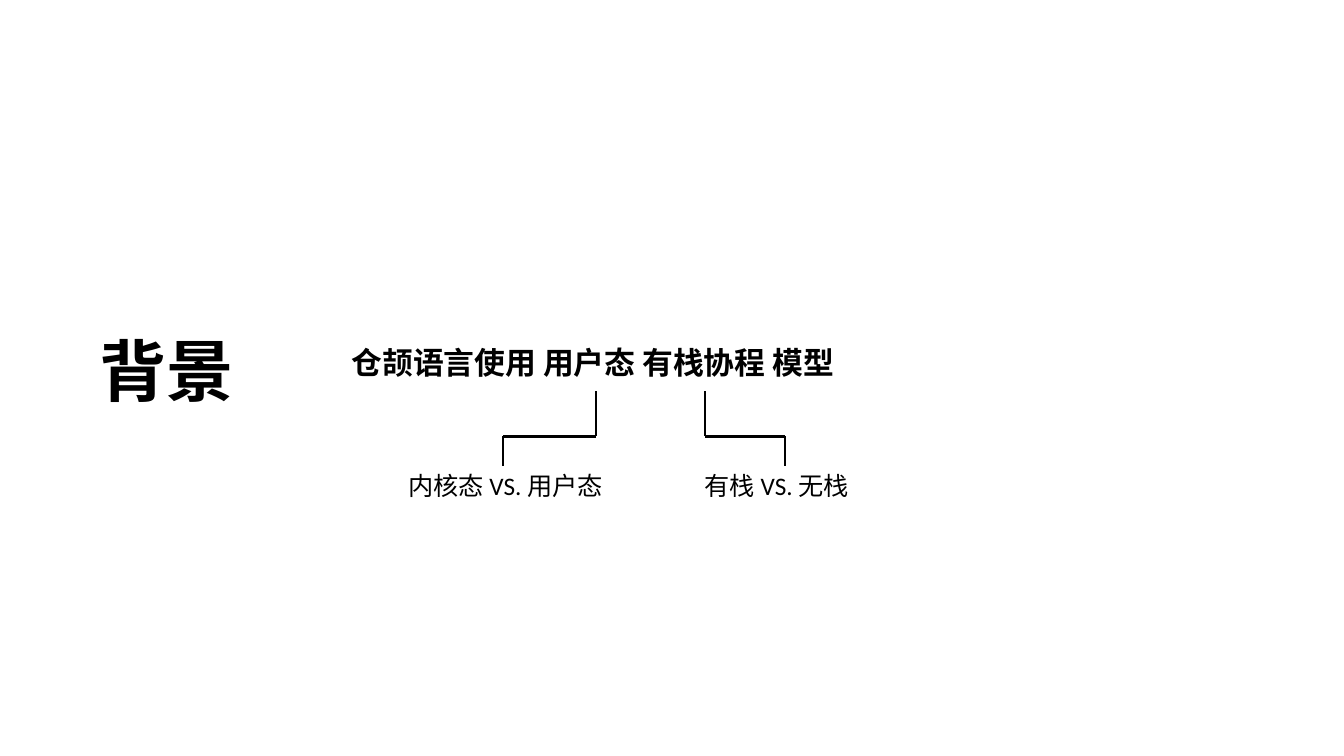
from lxml import etree
from pptx import Presentation
from pptx.dml.color import RGBColor
from pptx.enum import shapes, text
from pptx.oxml.ns import qn
from pptx.util import Inches, Pt

FONT = "Calibri"
BLACK = "000000"
TEXT_BOTTOM, BRANCH_Y, LABEL_TOP = 3.88, 4.33, 4.62


def color(hex_value):
    return RGBColor.from_string(hex_value)


def add_text(slide, content, left, top, width, height, size, bold=False):
    box = slide.shapes.add_textbox(
        Inches(left), Inches(top), Inches(width), Inches(height))
    frame = box.text_frame
    frame.word_wrap = True
    frame.auto_size = text.MSO_AUTO_SIZE.SHAPE_TO_FIT_TEXT
    run = frame.paragraphs[0].add_run()
    run.text = content
    run.font.name = FONT
    run.font.size = Pt(size)
    run.font.bold = bold
    run.font.color.rgb = color(BLACK)


def add_line(group, start, end):
    line = group.shapes.add_connector(
        shapes.MSO_CONNECTOR.STRAIGHT, *map(Inches, start + end))
    line.line.color.rgb = color(BLACK)
    line.line.width = Pt(1.5)
    etree.SubElement(line._element.spPr, qn("a:effectLst"))


def add_branch(slide, term_x, label_x):
    """Draw a stepped line from a term in the statement to its label."""
    group = slide.shapes.add_group_shape()
    add_line(group, (term_x, TEXT_BOTTOM), (term_x, BRANCH_Y))
    add_line(group, (label_x, BRANCH_Y), (label_x, LABEL_TOP))
    add_line(group, (term_x, BRANCH_Y), (label_x, BRANCH_Y))


def main():
    presentation = Presentation()
    presentation.slide_width = Inches(13.33)
    presentation.slide_height = Inches(7.5)
    slide = presentation.slides.add_slide(presentation.slide_layouts[6])

    add_text(slide, "背景", 0.89, 3.22, 3.23, 0.91, 48, bold=True)
    add_text(slide, "仓颉语言使用 用户态 有栈协程 模型",
             3.39, 3.36, 5.34, 0.47, 22, bold=True)
    add_text(slide, "内核态 VS. 用户态", 3.95, LABEL_TOP, 2.19, 0.4, 18)
    add_text(slide, "有栈 VS. 无栈", 6.89, LABEL_TOP, 1.65, 0.4, 18)
    add_branch(slide, term_x=5.91, label_x=4.99)
    add_branch(slide, term_x=6.99, label_x=7.79)

    presentation.save("out.pptx")


if __name__ == "__main__":
    main()
